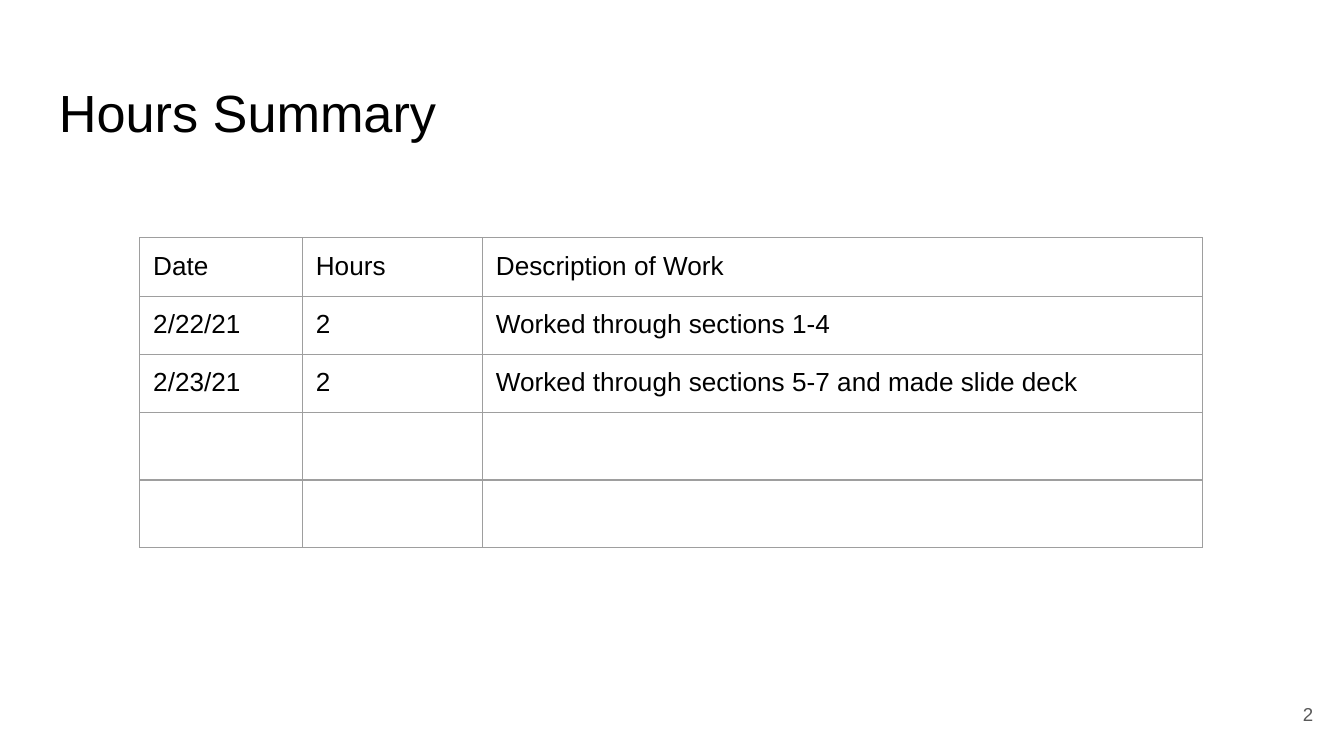
import dataclasses

import lxml.etree
import pptx
import pptx.dml.color
import pptx.enum.text
import pptx.oxml.ns
import pptx.presentation
import pptx.slide
import pptx.table
import pptx.text.text
import pptx.util

Pt = pptx.util.Pt
FONT = "Arial"
INSET = 7.2
COLORS = {"text": "000000", "number": "595959", "border": "9E9E9E", "background": "FFFFFF"}
COLUMN_WIDTHS = (87.12, 96.48, 385.92)
ROW_HEIGHT = 30
TABLE_LEFT, TABLE_TOP = 74.88, 127.44
ROWS = (
    ("Date", "Hours", "Description of Work"),
    ("2/22/21", "2", "Worked through sections 1-4"),
    ("2/23/21", "2", "Worked through sections 5-7 and made slide deck"),
    ("", "", ""),
    ("", "", ""),
)


@dataclasses.dataclass(frozen=True)
class Label:
    """A text box with a single styled run, measured in points."""

    text: str
    left: float
    top: float
    width: float
    height: float
    size: float
    color: str
    anchor: pptx.enum.text.MSO_ANCHOR
    alignment: pptx.enum.text.PP_ALIGN


LABELS = (
    Label("Hours Summary", 24.48, 36, 671.04, 45.36, 28, "text",
          pptx.enum.text.MSO_ANCHOR.TOP, pptx.enum.text.PP_ALIGN.LEFT),
    Label("2", 667.44, 367.2, 43.2, 30.96, 10, "number",
          pptx.enum.text.MSO_ANCHOR.MIDDLE, pptx.enum.text.PP_ALIGN.RIGHT),
)


def rgb(name: str) -> pptx.dml.color.RGBColor:
    """Return the named colour."""
    return pptx.dml.color.RGBColor.from_string(COLORS[name])


def add_run(paragraph: pptx.text.text._Paragraph, text: str, size: float, color: str) -> None:
    """Append a styled run to a paragraph."""
    run = paragraph.add_run()
    run.text = text
    run.font.name = FONT
    run.font.size = Pt(size)
    run.font.color.rgb = rgb(color)


def set_margins(target: pptx.text.text.TextFrame | pptx.table._Cell) -> None:
    """Give a text frame or cell equal margins."""
    for side in ("left", "top", "right", "bottom"):
        setattr(target, f"margin_{side}", Pt(INSET))


def add_label(slide: pptx.slide.Slide, label: Label) -> None:
    """Draw one text box."""
    shape = slide.shapes.add_textbox(
        Pt(label.left), Pt(label.top), Pt(label.width), Pt(label.height))
    frame = shape.text_frame
    frame.word_wrap = True
    frame.vertical_anchor = label.anchor
    set_margins(frame)
    paragraph = frame.paragraphs[0]
    paragraph.alignment = label.alignment
    add_run(paragraph, label.text, label.size, label.color)


def set_borders(cell: pptx.table._Cell) -> None:
    """Outline all four sides of a cell."""
    qn = pptx.oxml.ns.qn
    properties = cell._tc.get_or_add_tcPr()
    for index, side in enumerate(("lnL", "lnR", "lnT", "lnB")):
        line = lxml.etree.Element(qn(f"a:{side}"), w=str(Pt(0.75)))
        fill = lxml.etree.SubElement(line, qn("a:solidFill"))
        lxml.etree.SubElement(fill, qn("a:srgbClr"), val=COLORS["border"])
        properties.insert(index, line)


def set_empty_font(paragraph: pptx.text.text._Paragraph, size: int) -> None:
    """Set the font that gives an empty paragraph its height."""
    qn = pptx.oxml.ns.qn
    properties = lxml.etree.SubElement(paragraph._p, qn("a:endParaRPr"), sz=str(size * 100))
    lxml.etree.SubElement(properties, qn("a:latin"), typeface=FONT)


def add_hours_table(slide: pptx.slide.Slide) -> None:
    """Draw the table of hours."""
    table = slide.shapes.add_table(
        len(ROWS), len(COLUMN_WIDTHS), Pt(TABLE_LEFT), Pt(TABLE_TOP),
        Pt(sum(COLUMN_WIDTHS)), Pt(ROW_HEIGHT * len(ROWS))).table
    table.first_row = False
    table.horz_banding = False
    for column, width in zip(table.columns, COLUMN_WIDTHS):
        column.width = Pt(width)
    for row, texts in zip(table.rows, ROWS):
        row.height = Pt(ROW_HEIGHT)
        for cell, text in zip(row.cells, texts):
            cell.fill.background()
            set_margins(cell)
            set_borders(cell)
            paragraph = cell.text_frame.paragraphs[0]
            if text:
                add_run(paragraph, text, 14, "text")
            else:
                set_empty_font(paragraph, 18)


def main() -> None:
    """Build and save the hours summary slide."""
    presentation = pptx.Presentation()
    presentation.slide_width = Pt(720)
    presentation.slide_height = Pt(405)
    slide = presentation.slides.add_slide(presentation.slide_layouts[6])
    slide.background.fill.solid()
    slide.background.fill.fore_color.rgb = rgb("background")
    title, number = LABELS
    add_label(slide, title)
    add_hours_table(slide)
    add_label(slide, number)
    presentation.save("out.pptx")


if __name__ == "__main__":
    main()
